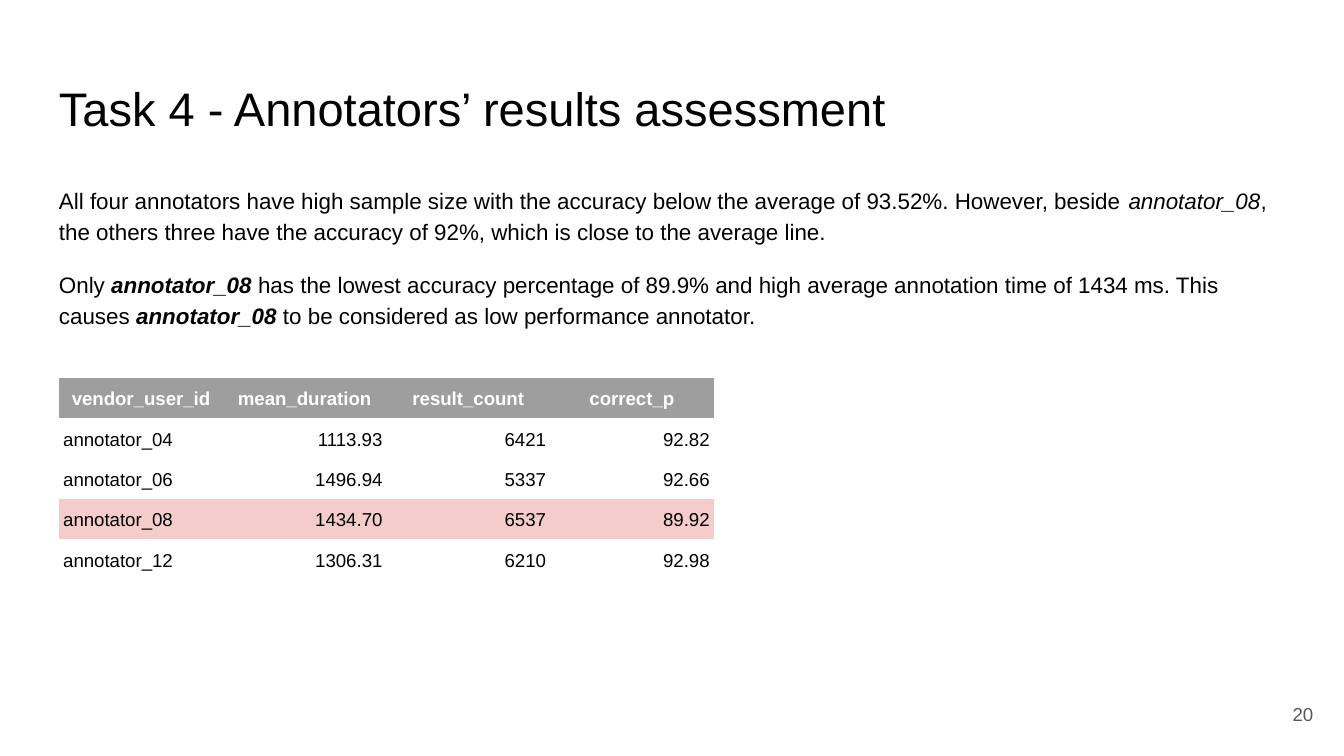
from dataclasses import dataclass

from pptx import Presentation
from pptx.dml.color import RGBColor
from pptx.enum.text import MSO_ANCHOR as Anchor, PP_ALIGN as Align
from pptx.oxml.ns import qn
from pptx.util import Inches, Pt


@dataclass(frozen=True)
class Theme:
    font: str = "Arial"
    ink: str = "000000"
    muted: str = "595959"
    header_ink: str = "FFFFFF"
    header_fill: str = "9E9E9E"
    highlight: str = "F4CCCC"
    title_size: float = 25.2
    body_size: float = 12
    small_size: float = 10


THEME = Theme()
NO_STYLE_NO_GRID = "{2D5ABB26-0587-4C30-8999-92F81FD0307C}"


def write(paragraph, text, size, color=THEME.ink, **emphasis):
    """Append a run; emphasis holds font flags such as bold and italic."""
    run = paragraph.add_run()
    run.text = text
    run.font.color.rgb = RGBColor.from_string(color)
    for name, value in {"name": THEME.font, "size": Pt(size), **emphasis}.items():
        setattr(run.font, name, value)


def add_text_frame(slide, left, top, width, height, anchor=Anchor.TOP):
    box = slide.shapes.add_textbox(Inches(left), Inches(top), Inches(width), Inches(height))
    frame = box.text_frame
    frame.word_wrap = True
    frame.vertical_anchor = anchor
    for side in ("left", "top", "right", "bottom"):
        setattr(frame, f"margin_{side}", Inches(0.1))
    return frame


prs = Presentation()
prs.slide_width, prs.slide_height = Inches(10), Inches(10 * 9 / 16)
slide = prs.slides.add_slide(prs.slide_layouts[6])

# Title
title = add_text_frame(slide, 0.34, 0.49, 9.32, 0.63)
write(title.paragraphs[0], "Task 4 - Annotators’ results assessment", THEME.title_size)

# Findings
ITALIC = {"italic": True}
STRONG = {"bold": True, "italic": True}
findings = [
    [
        ("All four annotators have high sample size with the accuracy below the "
         "average of 93.52%. However, beside ", {}),
        ("annotator_08", ITALIC),
        (", the others three have the accuracy of 92%, which is close to the average line.", {}),
    ],
    [
        ("Only ", {}),
        ("annotator_08", STRONG),
        (" has the lowest accuracy percentage of 89.9% and high average annotation "
         "time of 1434 ms. This causes ", {}),
        ("annotator_08", STRONG),
        (" to be considered as low performance annotator.", {}),
    ],
]
body = add_text_frame(slide, 0.34, 1.26, 9.32, 3.74)
for index, finding in enumerate(findings):
    paragraph = body.add_paragraph() if index else body.paragraphs[0]
    paragraph.line_spacing = 1.15
    paragraph.space_before = Pt(12)
    for text, emphasis in finding:
        write(paragraph, text, THEME.body_size, **emphasis)
body.paragraphs[-1].space_after = Pt(12)

# Page number
page_number = add_text_frame(slide, 9.27, 5.1, 0.6, 0.43, Anchor.MIDDLE).paragraphs[0]
page_number.alignment = Align.RIGHT
write(page_number, "20", THEME.small_size, THEME.muted)

# Annotator results
results = [
    ("vendor_user_id", "mean_duration", "result_count", "correct_p"),
    ("annotator_04", "1113.93", "6421", "92.82"),
    ("annotator_06", "1496.94", "5337", "92.66"),
    ("annotator_08", "1434.70", "6537", "89.92"),
    ("annotator_12", "1306.31", "6210", "92.98"),
]
TABLE_WIDTH, ROW_HEIGHT = 4.87, 0.3
row_count, column_count = len(results), len(results[0])
table = slide.shapes.add_table(
    row_count, column_count, Inches(0.44), Inches(2.81),
    Inches(TABLE_WIDTH), Inches(ROW_HEIGHT * row_count),
).table
table.horz_banding = False
table._tbl.tblPr.find(qn("a:tableStyleId")).text = NO_STYLE_NO_GRID

cell_format = {
    "vertical_anchor": Anchor.MIDDLE,
    "margin_left": Inches(0.03),
    "margin_right": Inches(0.03),
    "margin_top": Inches(0.02),
    "margin_bottom": Inches(0.02),
}
row_fills = {"vendor_user_id": THEME.header_fill, "annotator_08": THEME.highlight}
for row, values in enumerate(results):
    is_header = row == 0
    fill_color = row_fills.get(values[0])
    for column, value in enumerate(values):
        cell = table.cell(row, column)
        for name, setting in cell_format.items():
            setattr(cell, name, setting)
        if fill_color:
            cell.fill.solid()
            cell.fill.fore_color.rgb = RGBColor.from_string(fill_color)
        else:
            cell.fill.background()
        paragraph = cell.text_frame.paragraphs[0]
        paragraph.line_spacing = 1.15
        if is_header:
            paragraph.alignment = Align.CENTER
        else:
            paragraph.alignment = Align.RIGHT if column else Align.LEFT
        color = THEME.header_ink if is_header else THEME.ink
        write(paragraph, value, THEME.small_size, color, bold=is_header)

prs.save("out.pptx")
